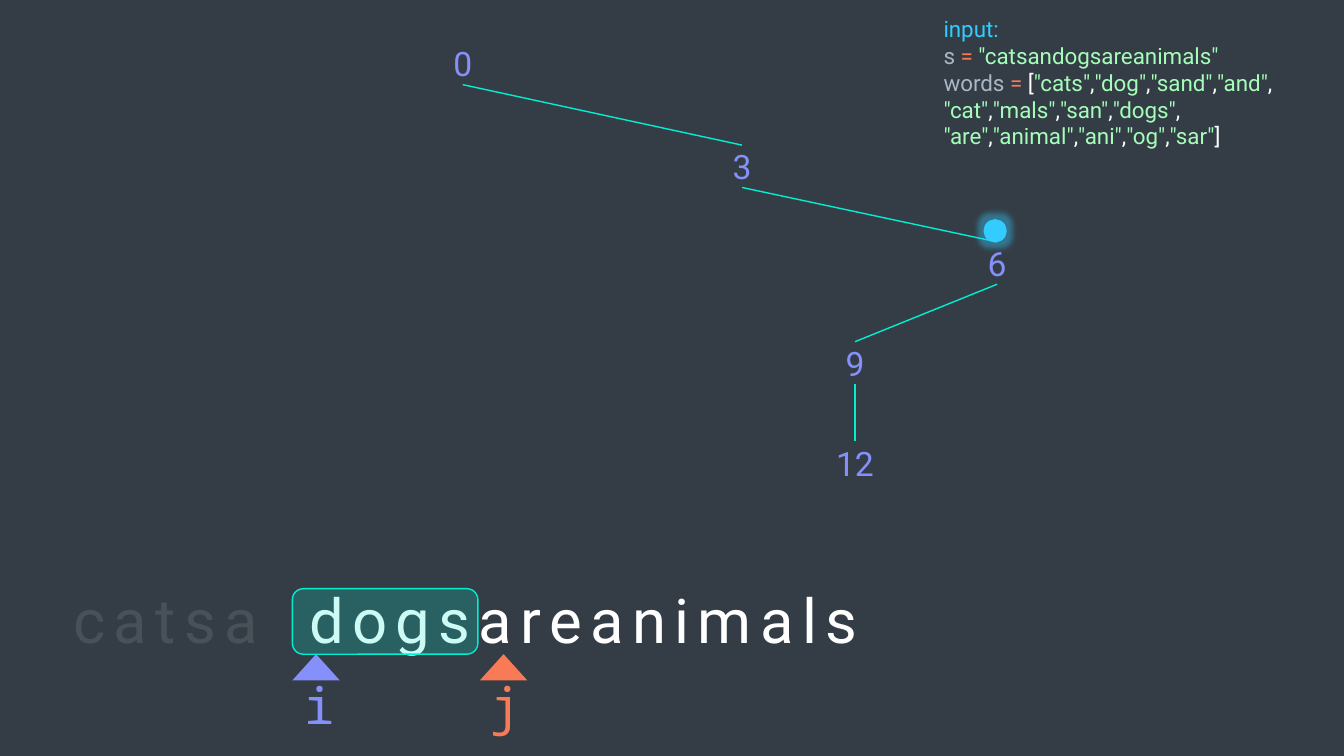
from dataclasses import dataclass
from itertools import pairwise

from lxml.etree import SubElement
from pptx import Presentation
from pptx.dml.color import RGBColor
from pptx.enum.shapes import MSO_CONNECTOR, MSO_SHAPE
from pptx.enum.text import MSO_AUTO_SIZE, PP_ALIGN
from pptx.oxml.ns import qn
from pptx.util import Inches, Pt


@dataclass(frozen=True)
class Theme:
    background: str = "343D46"
    white: str = "FFFFFF"
    cyan: str = "33CCFF"
    teal: str = "00EFD1"
    violet: str = "8690FA"
    orange: str = "F97A57"
    string: str = "A5FDB9"
    name: str = "A9B7C6"
    sans: str = "Roboto"
    mono: str = "Noto Sans Mono"
    code_size: int = 16
    node_size: int = 24
    pointer_size: int = 36
    letter_size: int = 44


T = Theme()


@dataclass(frozen=True)
class Span:
    text: str
    color: str
    alpha: int = 100


@dataclass(frozen=True)
class Node:
    label: str
    x: float
    top: float
    width: float = 0.73


@dataclass(frozen=True)
class Pointer:
    label: str
    left: float
    label_left: float
    color: str


NODE_HEIGHT = 0.5
EDGE_INSET = 0.04
NODES = [
    Node("0", 4.59, 0.38, 1.51),
    Node("3", 7.36, 1.4, 1.51),
    Node("6", 9.89, 2.36),
    Node("9", 8.48, 3.35),
    Node("12", 8.48, 4.34),
]
POINTERS = [
    Pointer("i", 2.9, 3.01, T.violet),
    Pointer("j", 4.76, 4.85, T.orange),
]
WORD_ROWS = [
    ["cats", "dog", "sand", "and"],
    ["cat", "mals", "san", "dogs"],
    ["are", "animal", "ani", "og", "sar"],
]


def rgb(color: str) -> RGBColor:
    return RGBColor.from_string(color)


def set_alpha(fill, percent: int) -> None:
    """Make the colour inside a solidFill element translucent."""
    SubElement(fill.find(qn("a:srgbClr")), qn("a:alpha"), val=str(percent * 1000))


def add_text(shapes, box: tuple, lines: list[list[Span]], size: int, font: str = T.sans,
             align: PP_ALIGN = PP_ALIGN.CENTER, spacing: int = 0, inset: bool = True) -> None:
    tf = shapes.add_textbox(*map(Inches, box)).text_frame
    tf.word_wrap = True
    tf.auto_size = MSO_AUTO_SIZE.SHAPE_TO_FIT_TEXT
    if not inset:
        tf.margin_left = tf.margin_top = tf.margin_right = tf.margin_bottom = 0
    for i, spans in enumerate(lines):
        p = tf.add_paragraph() if i else tf.paragraphs[0]
        p.alignment = align
        for span in spans:
            r = p.add_run()
            r.text = span.text
            r.font.name = font
            r.font.size = Pt(size)
            r.font.color.rgb = rgb(span.color)
            rPr = r.font._element
            if spacing:
                rPr.set("spc", str(spacing * 100))
            if span.alpha < 100:
                set_alpha(rPr.find(qn("a:solidFill")), span.alpha)


def add_shape(shapes, kind: MSO_SHAPE, box: tuple, fill: str, line_width: float = 0):
    sp = shapes.add_shape(kind, *map(Inches, box))
    sp.shadow.inherit = False
    sp.fill.solid()
    sp.fill.fore_color.rgb = rgb(fill)
    if line_width:
        sp.line.color.rgb = rgb(fill)
        sp.line.width = Pt(line_width)
    else:
        sp.line.fill.background()
    return sp


def add_edge(shapes, parent: Node, child: Node) -> None:
    ends = (parent.x, parent.top + NODE_HEIGHT - EDGE_INSET, child.x, child.top + EDGE_INSET)
    line = shapes.add_connector(MSO_CONNECTOR.STRAIGHT, *map(Inches, ends))
    line.line.color.rgb = rgb(T.teal)
    line.line.width = Pt(1)
    SubElement(line._element.spPr, qn("a:effectLst"))


def add_node(shapes, node: Node) -> None:
    box = (node.x - node.width / 2, node.top, node.width, NODE_HEIGHT)
    add_text(shapes, box, [[Span(node.label, T.violet)]], T.node_size)


def add_pointer(shapes, pointer: Pointer) -> None:
    group = shapes.add_group_shape().shapes
    add_shape(group, MSO_SHAPE.ISOSCELES_TRIANGLE, (pointer.left, 6.49, 0.47, 0.26), pointer.color)
    add_text(group, (pointer.label_left, 6.69, 0.33, 0.61), [[Span(pointer.label, pointer.color)]],
             T.pointer_size, T.mono, spacing=6, inset=False)


def add_current_marker(shapes) -> None:
    dot = add_shape(shapes, MSO_SHAPE.OVAL, (9.77, 2.19, 0.2, 0.2), T.cyan, 2.25)
    effects = dot._element.spPr.find(qn("a:effectLst"))
    glow = SubElement(effects, qn("a:glow"), rad=str(Pt(8)))
    SubElement(glow, qn("a:srgbClr"), val=T.cyan)
    set_alpha(glow, 40)


def input_lines() -> list[list[Span]]:
    def assignment(name: str) -> list[Span]:
        return [Span(f"{name} ", T.name), Span("= ", T.orange)]

    rows = []
    for words in WORD_ROWS:
        row = []
        for word in words:
            row += [Span(f'"{word}"', T.string), Span(",", T.white)]
        rows.append(row)
    rows[0] = assignment("words") + [Span("[", T.white)] + rows[0]
    rows[-1][-1] = Span("]", T.white)
    text = assignment("s") + [Span('"catsandogsareanimals"', T.string)]
    return [[Span("input:", T.cyan)], text, *rows]


def main() -> None:
    prs = Presentation()
    prs.slide_width, prs.slide_height = Inches(13.33), Inches(7.5)
    s = prs.slides.add_slide(prs.slide_layouts[6])
    s.background.fill.solid()
    s.background.fill.fore_color.rgb = rgb(T.background)

    add_text(s.shapes, (9.26, 0.1, 4.04, 1.45), input_lines(), T.code_size, align=PP_ALIGN.LEFT)
    for parent, child in pairwise(NODES):
        add_edge(s.shapes, parent, child)
    for node in NODES:
        add_node(s.shapes, node)
    add_current_marker(s.shapes)

    letters = [Span("catsan", T.white, 10), Span("dogsareanimals", T.white)]
    add_text(s.shapes, (0.22, 5.72, 8.8, 0.84), [letters], T.letter_size, spacing=6)
    for pointer in POINTERS:
        add_pointer(s.shapes, pointer)
    window = add_shape(s.shapes, MSO_SHAPE.ROUNDED_RECTANGLE, (2.9, 5.84, 1.84, 0.65), T.teal, 1)
    set_alpha(window._element.spPr.find(qn("a:solidFill")), 20)

    prs.save("out.pptx")


if __name__ == "__main__":
    main()
